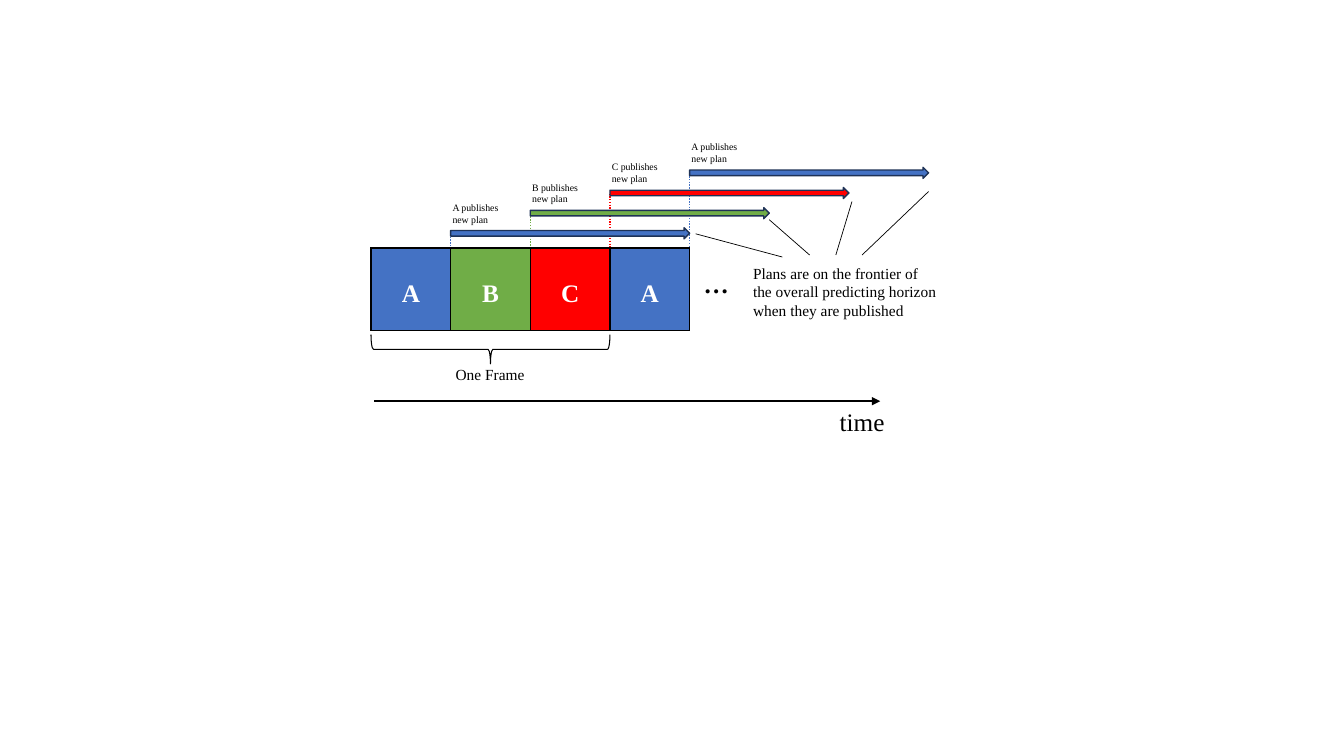
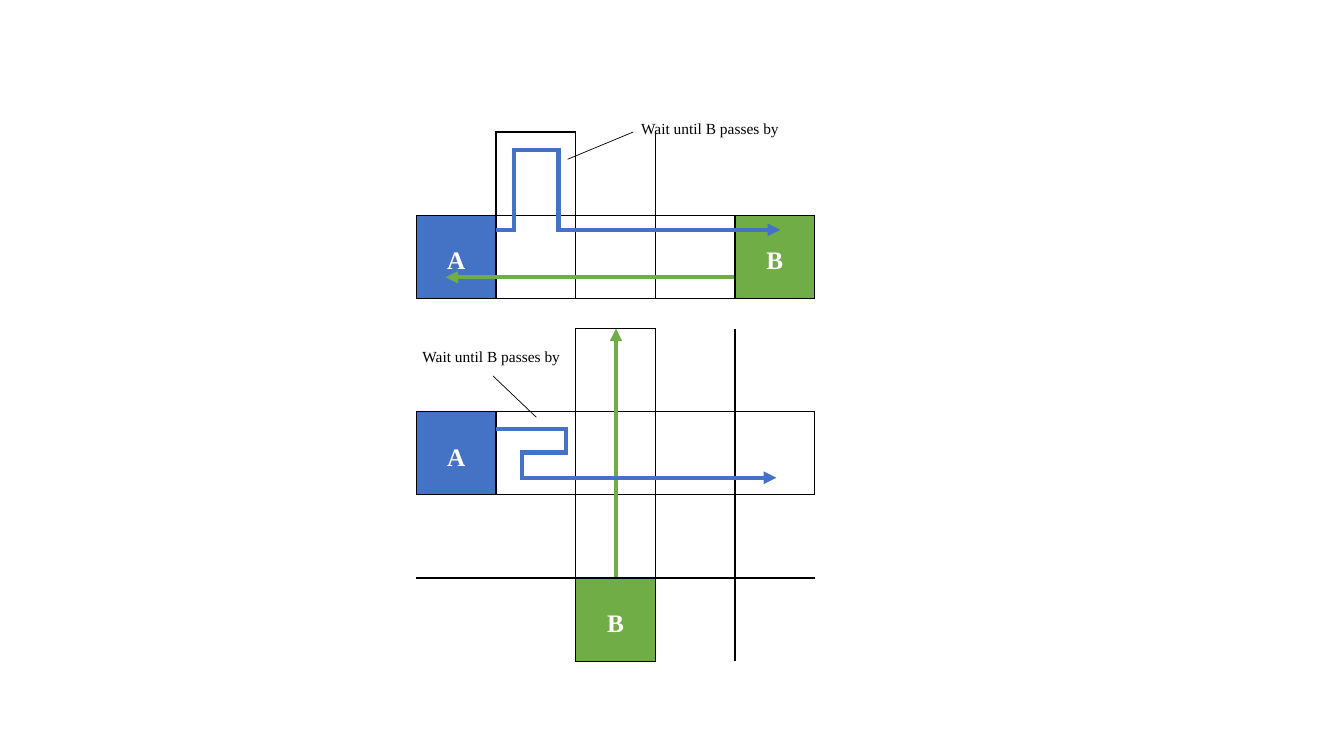
from lxml.etree import SubElement
from pptx import Presentation
from pptx.dml.color import RGBColor
from pptx.enum.dml import MSO_LINE
from pptx.enum.shapes import MSO_CONNECTOR, MSO_SHAPE
from pptx.enum.text import MSO_AUTO_SIZE, MSO_ANCHOR, PP_ALIGN
from pptx.oxml.ns import qn
from pptx.util import Inches, Pt

FONT = "Times New Roman"
BLACK, WHITE, ARROW_EDGE = "000000", "FFFFFF", "1E3256"
AGENT = {"A": "4472C4", "B": "70AD47", "C": "FF0000"}
CELL = 0.79
ROUTE_WIDTH = 3
NO_STYLE_NO_GRID = "{2D5ABB26-0587-4C30-8999-92F81FD0307C}"
WAIT = "Wait until B passes by"


def rgb(hex_color):
    return RGBColor.from_string(hex_color)


def add_run(paragraph, text, size, color=BLACK, bold=False):
    run = paragraph.add_run()
    run.text = text
    run.font.name = FONT
    run.font.size = Pt(size)
    run.font.bold = bold
    run.font.color.rgb = rgb(color)


def add_label(slide, box, lines, size, bold=False):
    frame = slide.shapes.add_textbox(*map(Inches, box)).text_frame
    frame.word_wrap = False
    frame.auto_size = MSO_AUTO_SIZE.SHAPE_TO_FIT_TEXT
    for i, text in enumerate(lines):
        paragraph = frame.add_paragraph() if i else frame.paragraphs[0]
        add_run(paragraph, text, size, bold=bold)


def add_line(slide, start, end, color=BLACK, width=0.5, dash=None, arrow=False):
    connector = slide.shapes.add_connector(
        MSO_CONNECTOR.STRAIGHT, *map(Inches, (*start, *end)))
    connector.line.color.rgb = rgb(color)
    connector.line.width = Pt(width)
    if dash:
        connector.line.dash_style = dash
    properties = connector._element.spPr
    if arrow:
        SubElement(properties.find(qn("a:ln")), qn("a:tailEnd"), type="triangle")
    SubElement(properties, qn("a:effectLst"))


def add_route(slide, points, color):
    """Draw right-angled legs that overlap at corners and end in an arrowhead."""
    half = ROUTE_WIDTH / 144
    last = len(points) - 2
    for i, ((x1, y1), (x2, y2)) in enumerate(zip(points, points[1:])):
        dx = half * ((x2 > x1) - (x2 < x1))
        dy = half * ((y2 > y1) - (y2 < y1))
        start = (x1 - dx, y1 - dy) if i else (x1, y1)
        end = (x2 + dx, y2 + dy) if i < last else (x2, y2)
        add_line(slide, start, end, color, ROUTE_WIDTH, arrow=i == last)


def add_shape(slide, kind, box, line, width, fill=None):
    shape = slide.shapes.add_shape(kind, *map(Inches, box))
    shape.shadow.inherit = False
    shape.line.color.rgb = rgb(line)
    shape.line.width = Pt(width)
    if fill:
        shape.fill.solid()
        shape.fill.fore_color.rgb = rgb(fill)
    else:
        shape.fill.background()
    return shape


def add_border(cell, side):
    edge = SubElement(cell._tc.get_or_add_tcPr(), qn(f"a:ln{side}"), w=str(Pt(1)))
    SubElement(SubElement(edge, qn("a:solidFill")), qn("a:srgbClr"), val=BLACK)


def add_lanes(slide, left, top, height, plan):
    """Draw a grid from rows of letters: agent, 'o' for free lane, '.' for outside."""
    rows, cols = len(plan), len(plan[0])
    table = slide.shapes.add_table(
        rows, cols, *map(Inches, (left, top, cols * CELL, height))).table
    table.first_row = table.horz_banding = False
    table._tbl.tblPr.find(qn("a:tableStyleId")).text = NO_STYLE_NO_GRID

    def is_lane(r, c):
        return 0 <= r < rows and 0 <= c < cols and plan[r][c] != "."

    for r, row in enumerate(plan):
        for c, mark in enumerate(row):
            cell = table.cell(r, c)
            cell.vertical_anchor = MSO_ANCHOR.TOP
            cell.margin_top = cell.margin_bottom = Inches(0.04)
            neighbours = {"L": (r, c - 1), "R": (r, c + 1),
                          "T": (r - 1, c), "B": (r + 1, c)}
            for side, place in neighbours.items():
                if is_lane(r, c) or is_lane(*place):
                    add_border(cell, side)
            if mark not in AGENT:
                cell.fill.background()
                continue
            cell.fill.solid()
            cell.fill.fore_color.rgb = rgb(AGENT[mark])
            paragraph = cell.text_frame.paragraphs[0]
            paragraph.alignment = PP_ALIGN.CENTER
            paragraph.line_spacing = 2.0
            add_run(paragraph, mark, 18, WHITE, bold=True)


def add_schedule(slide, left, top):
    def at(x, y, *size):
        return (left + x, top + y, *size)

    publishers = [(agent, CELL * (i + 1), -0.2 * (i + 1))
                  for i, agent in enumerate("ABCA")]
    for agent, x, y in publishers:
        add_line(slide, at(x, y + 0.06), at(x, 0), AGENT[agent], 1,
                 MSO_LINE.ROUND_DOT)
    add_lanes(slide, left, top, 0.82, ["ABCA"])
    for agent, x, y in publishers:
        add_shape(slide, MSO_SHAPE.RIGHT_ARROW, at(x, y, 3 * CELL, 0.11),
                  ARROW_EDGE, 1, AGENT[agent])
        add_label(slide, at(x - 0.08, y - 0.31, 0.69, 0.34),
                  [f"{agent} publishes", "new plan"], 7)

    for tip, note in [((3.22, -0.14), (4.08, 0.09)), ((3.95, -0.28), (4.35, 0.07)),
                      ((4.77, -0.46), (4.61, 0.07)), ((5.53, -0.56), (4.87, 0.07))]:
        add_line(slide, at(*tip), at(*note))
    add_label(slide, at(3.69, 0.11, 2.02, 0.66),
              ["Plans are on the frontier of", "the overall predicting horizon",
               "when they are published"], 11)
    add_label(slide, at(3.2, 0.15, 0.45, 0.4), ["…"], 18, bold=True)

    brace = add_shape(slide, MSO_SHAPE.LEFT_BRACE, at(1.04, -0.18, 0.29, 3 * CELL),
                      BLACK, 0.75)
    brace.rotation = 270
    add_label(slide, at(0.74, 1.11, 0.89, 0.29), ["One Frame"], 11)
    add_line(slide, at(0.03, 1.52), at(5.05, 1.52), width=1, arrow=True)
    add_label(slide, at(4.55, 1.52, 0.65, 0.4), ["time"], 18)


def add_encounter(slide, left, top, height, plan, routes, leader, label):
    """Draw lanes, the agents' routes and the note on waiting."""
    def at(x, y):
        return left + x, top + y

    add_lanes(slide, left, top, height, plan)
    for agent, points in routes:
        add_route(slide, [at(*point) for point in points], AGENT[agent])
    add_line(slide, *(at(*point) for point in leader))
    add_label(slide, (*at(*label), 1.59, 0.29), [WAIT], 11)


def main():
    deck = Presentation()
    deck.slide_width, deck.slide_height = Inches(13.33), Inches(7.5)
    blank = deck.slide_layouts[6]

    add_schedule(deck.slides.add_slide(blank), 3.68, 2.46)

    passing = deck.slides.add_slide(blank)
    add_encounter(
        passing, 4.13, 1.31, 1.65, [".o...", "AoooB"],
        [("A", [(0.79, 0.97), (0.97, 0.97), (0.97, 0.18),
                (1.41, 0.18), (1.41, 0.97), (3.61, 0.97)]),
         ("B", [(3.15, 1.44), (0.29, 1.44)])],
        leader=[(1.5, 0.27), (2.15, 0)], label=(2.13, -0.18))
    add_encounter(
        passing, 4.13, 3.26, 3.3, ["..o..", "Aoooo", "..o..", "..B.."],
        [("B", [(1.98, 2.46), (1.98, 0)]),
         ("A", [(0.79, 1), (1.48, 1), (1.48, 1.23),
                (1.05, 1.23), (1.05, 1.48), (3.57, 1.48)])],
        leader=[(1.19, 0.88), (0.76, 0.47)], label=(-0.04, 0.13))

    deck.save("out.pptx")


if __name__ == "__main__":
    main()
